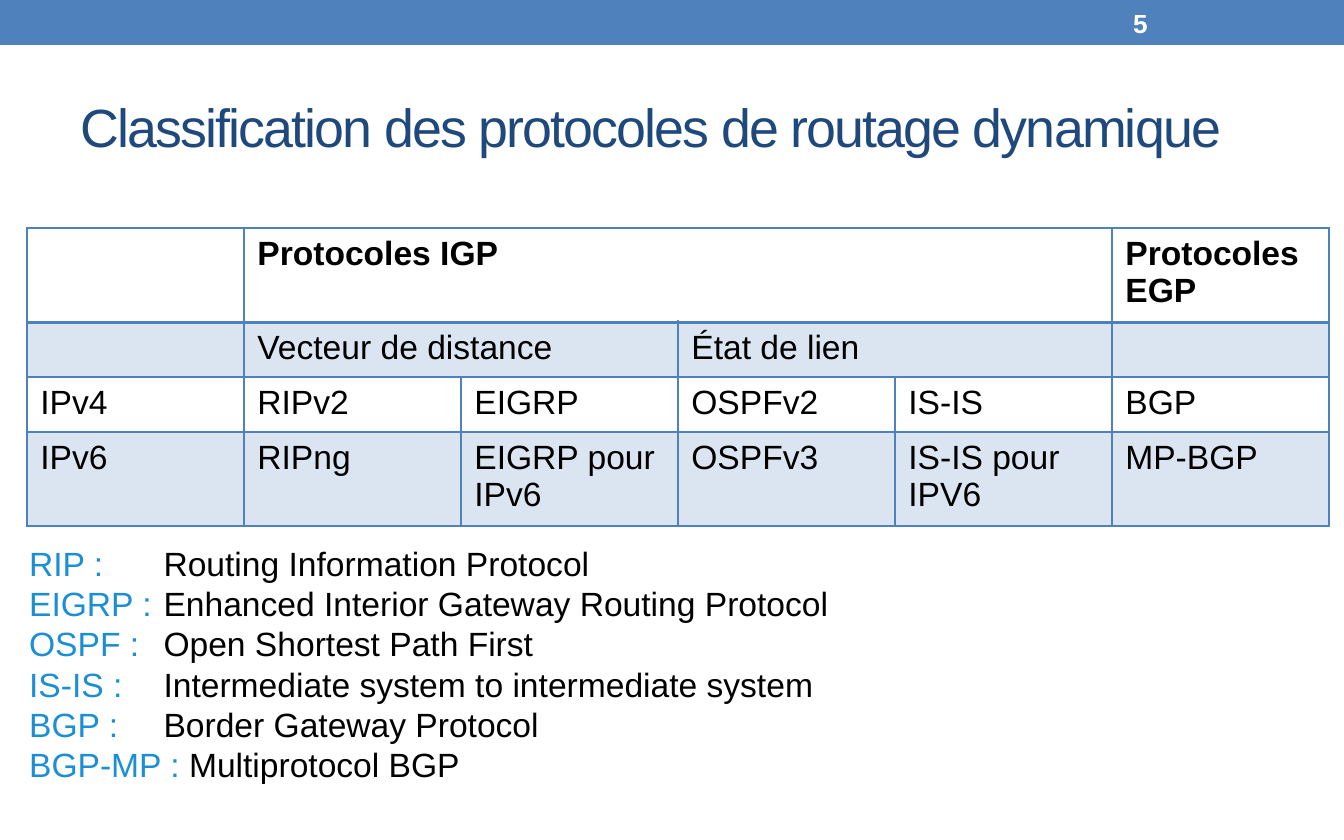
import lxml.etree
import pptx
import pptx.dml.color
import pptx.enum.shapes
import pptx.enum.text
import pptx.oxml.ns
import pptx.util

EMU_PER_PX = 914400 / 134.4
BLUE, NAVY, SKY, BLACK, WHITE = "4F81BD", "1F497D", "1C8ED4", "000000", "FFFFFF"
BODY = {"size": 18, "color": BLACK, "bold": False}
HEADER = {**BODY, "bold": True}
TERM = {**BODY, "color": SKY}
ROW_HEIGHTS = [89, 55, 55, 88]
COLUMN_WIDTH = 217
ROWS = [
    ["", "Protocoles IGP", "", "", "", "Protocoles EGP"],
    ["", "Vecteur de distance", "", "État de lien", "", ""],
    ["IPv4", "RIPv2", "EIGRP", "OSPFv2", "IS-IS", "BGP"],
    ["IPv6", "RIPng", "EIGRP pour IPv6", "OSPFv3", "IS-IS pour IPV6", "MP-BGP"],
]
MERGES = [(0, 1, 4), (1, 1, 2), (1, 3, 4)]
ACRONYMS = [
    ("RIP : \t", "Routing Information Protocol"),
    ("EIGRP : \t", "Enhanced Interior Gateway Routing Protocol"),
    ("OSPF : \t", "Open Shortest Path First"),
    ("IS-IS : \t", "Intermediate system to intermediate system"),
    ("BGP : \t", "Border Gateway Protocol"),
    ("BGP-MP : ", "Multiprotocol BGP"),
]


def px(n):
    """Convert pixels to EMU."""
    return pptx.util.Emu(round(n * EMU_PER_PX))


def rgb(value):
    """Turn a hex string into a colour."""
    return pptx.dml.color.RGBColor.from_string(value)


def sub(parent, tag, **attrs):
    """Add an XML child in the DrawingML namespace."""
    return lxml.etree.SubElement(parent, pptx.oxml.ns.qn(tag), **attrs)


def add_run(p, text, fmt):
    """Append a formatted run to a paragraph."""
    r = p.add_run()
    r.text = text
    values = {"name": "Arial", "size": pptx.util.Pt(fmt["size"]), "bold": fmt["bold"]}
    for name, value in values.items():
        setattr(r.font, name, value)
    r.font.color.rgb = rgb(fmt["color"])
    return r


def add_bar(s, box, color):
    """Add a plain filled rectangle."""
    sp = s.shapes.add_shape(pptx.enum.shapes.MSO_SHAPE.RECTANGLE, *map(px, box))
    sp.shadow.inherit = False
    sp.fill.solid()
    sp.fill.fore_color.rgb = rgb(color)
    sp.line.fill.background()


def add_text(s, box, lines, anchor="TOP"):
    """Add a text box whose lines are lists of (text, format) and return its frame."""
    tf = s.shapes.add_textbox(*map(px, box)).text_frame
    tf.word_wrap = True
    tf.vertical_anchor = getattr(pptx.enum.text.MSO_ANCHOR, anchor)
    for i, line in enumerate(lines):
        p = tf.paragraphs[0] if i == 0 else tf.add_paragraph()
        p._p.get_or_add_pPr().set("defTabSz", "914400")
        for text, fmt in line:
            add_run(p, text, fmt)
    return tf


def set_borders(cell, widths):
    """Draw the left, right, top and bottom borders of a cell."""
    tcPr = cell._tc.get_or_add_tcPr()
    for i, (side, width) in enumerate(zip("LRTB", widths)):
        ln = sub(tcPr, f"a:ln{side}", w=str(pptx.util.Pt(width)))
        sub(sub(ln, "a:solidFill"), "a:srgbClr", val=BLUE)
        tcPr.insert(i, ln)


def fill_cell(cell, banded):
    """Give a banded cell a light tint and leave any other cell clear."""
    if not banded:
        cell.fill.background()
        return
    cell.fill.solid()
    cell.fill.fore_color.rgb = rgb(BLUE)
    clr = cell._tc.tcPr.find(".//" + pptx.oxml.ns.qn("a:srgbClr"))
    sub(clr, "a:alpha", val="20000")


def add_protocol_table(s, left, top):
    """Add the table of routing protocols."""
    n = len(ROWS[0])
    size = (left, top, n * COLUMN_WIDTH, sum(ROW_HEIGHTS))
    table = s.shapes.add_table(len(ROWS), n, *map(px, size)).table
    table.first_row = table.horz_banding = False
    for column in table.columns:
        column.width = px(COLUMN_WIDTH)
    for i, (texts, height) in enumerate(zip(ROWS, ROW_HEIGHTS)):
        table.rows[i].height = px(height)
        for j, text in enumerate(texts):
            cell = table.cell(i, j)
            fill_cell(cell, i % 2 == 1)
            set_borders(cell, (1, 1, 2 if i == 1 else 1, 2 if i == 0 else 1))
            if text:
                add_run(cell.text_frame.paragraphs[0], text, BODY if i else HEADER)
    for row, first, last in MERGES:
        table.cell(row, first).merge(table.cell(row, last))


def main():
    """Build and save the slide."""
    prs = pptx.Presentation()
    prs.slide_width, prs.slide_height = px(1344), px(840)
    s = prs.slides.add_slide(prs.slide_layouts[6])
    add_bar(s, (0, 0, 1344, 45), BLUE)
    title = {"size": 28.8, "color": NAVY, "bold": False}
    tf = add_text(s, (67, 66, 1210, 121),
                  [[("Classification des protocoles de routage dynamique", title)]], "MIDDLE")
    tf.paragraphs[0].runs[0].font._element.set("spc", "-100")
    number = {"size": 14, "color": WHITE, "bold": True}
    add_text(s, (1120, 3, 157, 40), [[("5", number)]], "MIDDLE")
    add_protocol_table(s, 27, 228)
    add_text(s, (16, 536, 1164, 258),
             [[(term, TERM), (meaning, BODY)] for term, meaning in ACRONYMS])
    prs.save("out.pptx")


if __name__ == "__main__":
    main()
